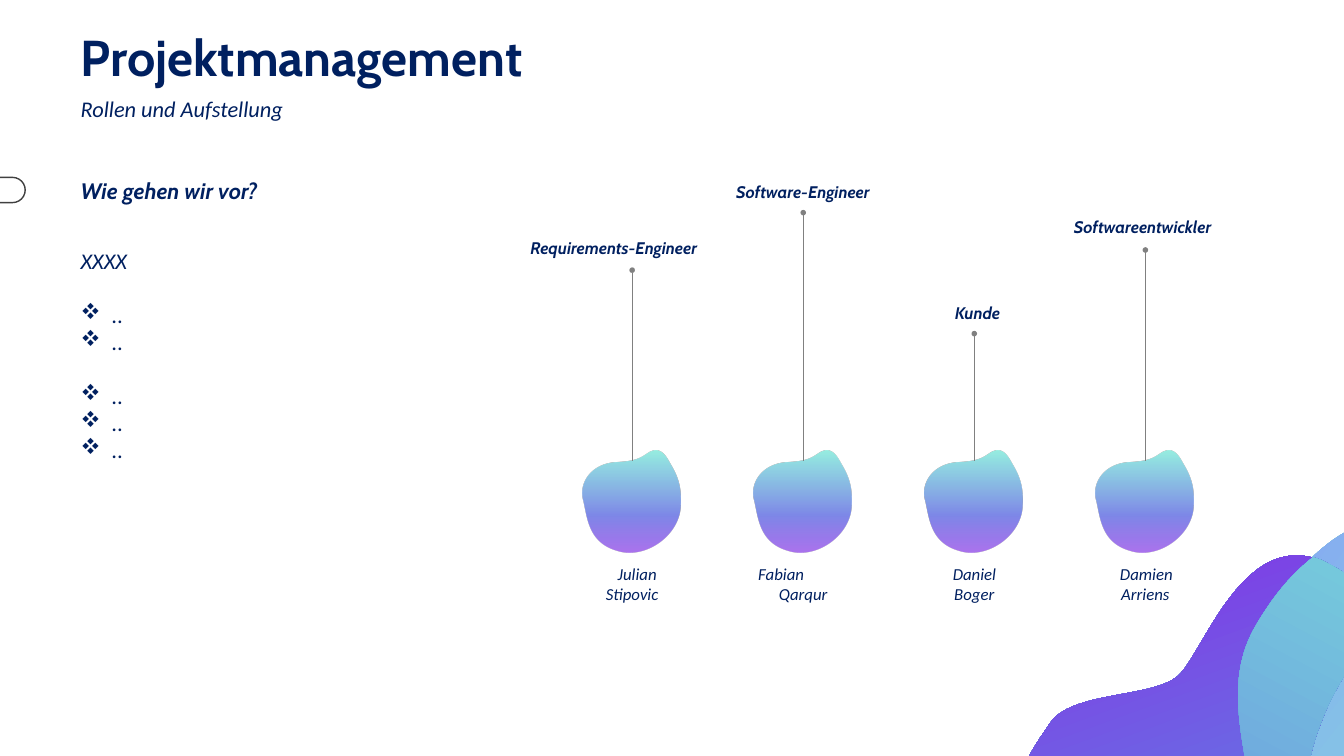
from lxml import etree
from pptx import Presentation
from pptx.dml.color import RGBColor
from pptx.enum.shapes import MSO_CONNECTOR, MSO_SHAPE
from pptx.enum.text import MSO_AUTO_SIZE, PP_ALIGN
from pptx.oxml import parse_xml
from pptx.oxml.ns import nsdecls, qn
from pptx.util import Inches, Pt

STRAIGHT = MSO_CONNECTOR.STRAIGHT
ROUNDED = MSO_SHAPE.ROUNDED_RECTANGLE
LEFT, CENTER = PP_ALIGN.LEFT, PP_ALIGN.CENTER
GROW = MSO_AUTO_SIZE.SHAPE_TO_FIT_TEXT

COLUMNS, ROWS = 13.33, 7.5
HEADING, BODY = "Cabin", "Calibri"
NAVY, GREY, CHARCOAL = "002060", "808080", "404040"

BLOB = [(0.7, 4.49),
        (0.62, 4.54, 0.59, 4.58, 0.36, 4.59),
        (0.12, 4.61, 0, 4.8, 0.05, 4.97),
        (0.09, 5.14, 0.1, 5.38, 0.38, 5.46),
        (0.65, 5.55, 1, 5.32, 1.01, 5.01),
        (1.02, 4.82, 0.97, 4.71, 0.91, 4.61),
        (0.87, 4.54, 0.82, 4.43, 0.7, 4.49)]
BLOB_STOPS = [(1, "7CEFD8", 79), (61, "6672E4", 84), (98, "882BE5", 66)]

WAVES = [
    ([(11.34, 9.4),
      (13.57, 8.54, 11.91, 7.23, 12.59, 6.08),
      (13.28, 4.93, 14.05, 5.07, 14.27, 5.3),
      (14.49, 5.53, 14.54, 5.77, 14.21, 6.16),
      (13.87, 6.54, 14.55, 7.28, 15.02, 7.79),
      (15.48, 8.29, 15.65, 9.43, 14.54, 9.66),
      (13.43, 9.88, 13.49, 9.86, 12.94, 10.76),
      (12.41, 11.65, 11.76, 11.62, 11.76, 11.62),
      (11.76, 11.62, 10.69, 11.5, 10.55, 10.62),
      (10.4, 9.73, 11.34, 9.4, 11.34, 9.4)],
     [(0, "80DEDE", 100), (54, "85C1E7", 100), (100, "878CFF", 100)], 218),
    ([(10.1, 10.76),
      (10.1, 10.76, 10.48, 11.63, 12.11, 11.07),
      (13.74, 10.51, 13.29, 8.9, 13.12, 8.33),
      (12.94, 7.76, 12.92, 7.61, 13.15, 7.05),
      (13.38, 6.5, 13.99, 6, 13.17, 5.59),
      (12.35, 5.18, 11.94, 6.47, 11.69, 6.7),
      (11.44, 6.93, 10.62, 6.85, 10.41, 7.18),
      (10.19, 7.52, 9.89, 7.79, 10.31, 8.97),
      (10.31, 8.97, 10.67, 9.51, 10.16, 10.14),
      (10.16, 10.14, 9.88, 10.51, 10.1, 10.76)],
     [(0, "7CEFD8", 100), (51, "6672E4", 100), (100, "882BE5", 100)], 250),
    ([(12.11, 11.07),
      (11.37, 11.32, 10.89, 11.28, 10.58, 11.17),
      (10.5, 11.05, 10.44, 10.91, 10.41, 10.74),
      (10.27, 9.85, 11.21, 9.53, 11.21, 9.53),
      (13.44, 8.66, 11.77, 7.35, 12.46, 6.2),
      (12.64, 5.89, 12.83, 5.68, 13.02, 5.53),
      (13.07, 5.54, 13.12, 5.56, 13.17, 5.59),
      (13.99, 6, 13.38, 6.5, 13.15, 7.05),
      (12.92, 7.6, 12.94, 7.76, 13.12, 8.33),
      (13.29, 8.9, 13.74, 10.51, 12.11, 11.07)],
     [(0, "6A67E4", 100), (4, "6672E4", 100), (100, "76CEDB", 100)], 298),
]

FIRST_BLOB, LAST_BLOB, STEM_OFFSET, STEM_BASE = 5.74, 10.83, 0.53, 4.57
MEMBERS = [
    ("Requirements-Engineer", 5.26, 2.36, 3.15, 2.68, "Julian", 5.91, 0.82, CENTER, "Stipovic"),
    ("Software-Engineer", 7.3, 1.8, 3.15, 2.11, "Fabian", 7.52, 0.89, LEFT, "Qarqur"),
    ("Kunde", 9.47, 3, 0.84, 3.31, "Daniel", 9.18, 0.97, CENTER, "Boger"),
    ("Softwareentwickler", 10.65, 2.15, 3.15, 2.48, "Damien", 10.81, 1.12, CENTER, "Arriens"),
]
BLOB_PITCH = (LAST_BLOB - FIRST_BLOB) / (len(MEMBERS) - 1)


def colour(value):
    return RGBColor.from_string(value)


class Painter:
    def __init__(self, deck):
        deck.slide_width, deck.slide_height = Inches(COLUMNS), Inches(ROWS)
        self.column = deck.slide_width / COLUMNS
        self.row = deck.slide_height / ROWS
        self.page = deck.slides.add_slide(deck.slide_layouts[6])

    def place(self, x, y):
        return round(x * self.column), round(y * self.row)

    def text(self, x, y, width, height, lines, size, font=BODY, bold=False,
             italic=True, align=LEFT, grow=True, spacing=None):
        box = self.page.shapes.add_textbox(*self.place(x, y), *self.place(width, height))
        frame = box.text_frame
        frame.word_wrap = True
        frame.margin_left = frame.margin_right = frame.margin_top = frame.margin_bottom = 0
        if grow:
            frame.auto_size = GROW
        for index, (words, bullet, gap) in enumerate(lines):
            para = frame.add_paragraph() if index else frame.paragraphs[0]
            para.alignment = align
            if gap:
                para.space_before = Pt(gap)
            if spacing:
                para.line_spacing = Pt(spacing)
            if bullet:
                properties = para._p.get_or_add_pPr()
                indent = Inches(0.31)
                properties.set("marL", str(indent))
                properties.set("indent", str(-indent))
                etree.SubElement(properties, qn("a:buFont")).set("typeface", "Wingdings")
                etree.SubElement(properties, qn("a:buChar")).set("char", bullet)
            span = para.add_run()
            span.text = words
            span.font.name, span.font.size = font, Pt(size)
            span.font.bold, span.font.italic = bold, italic
            span.font.color.rgb = colour(NAVY)

    def outline(self, curves, stops, angle, shift=0):
        points = [self.place(x + shift, y)
                  for curve in curves for x, y in zip(curve[::2], curve[1::2])]
        builder = self.page.shapes.build_freeform(*points[0], scale=1.0)
        builder.add_line_segments(points[1:], close=True)
        shape = builder.convert_to_shape()
        properties = shape._element.spPr
        segments = list(properties.iter(qn("a:lnTo")))
        for start in range(0, len(curves) * 3 - 3, 3):
            bend = etree.Element(qn("a:cubicBezTo"))
            segments[start].addprevious(bend)
            for segment in segments[start:start + 3]:
                bend.append(segment[0])
                segment.getparent().remove(segment)
        shape.shadow.inherit = False
        shape.line.fill.background()
        shape.fill.solid()
        marks = "".join(
            f'<a:gs pos="{position * 1000}"><a:srgbClr val="{shade}">'
            f'<a:alpha val="{opacity * 1000}"/></a:srgbClr></a:gs>'
            for position, shade, opacity in stops)
        gradient = parse_xml(
            f'<a:gradFill {nsdecls("a")} rotWithShape="1"><a:gsLst>{marks}</a:gsLst>'
            f'<a:lin ang="{angle * 60000}" scaled="0"/></a:gradFill>')
        properties.replace(properties.find(qn("a:solidFill")), gradient)

    def stem(self, x, bottom, top):
        line = self.page.shapes.add_connector(
            STRAIGHT, *self.place(x, bottom), *self.place(x, top))
        line.line.color.rgb = colour(GREY)
        line.line.width = Pt(0.75)
        tip = etree.SubElement(line.line._get_or_add_ln(), qn("a:tailEnd"))
        for name, value in (("type", "oval"), ("w", "sm"), ("len", "sm")):
            tip.set(name, value)
        etree.SubElement(line._element.spPr, qn("a:effectLst"))

    def tab(self, x, y, width, height):
        shape = self.page.shapes.add_shape(
            ROUNDED, *self.place(x, y), *self.place(width, height))
        shape.adjustments[0] = 0.5
        shape.shadow.inherit = False
        shape.fill.background()
        shape.line.color.rgb = colour(CHARCOAL)
        shape.line.width = Pt(1)


def main():
    deck = Presentation()
    painter = Painter(deck)
    for index in range(len(MEMBERS)):
        painter.outline(BLOB, BLOB_STOPS, 90, FIRST_BLOB + index * BLOB_PITCH)
    painter.text(0.8, 0.3, 4.81, 0.56, [("Projektmanagement", None, 0)], 36, HEADING,
                 bold=True, italic=False, grow=False, spacing=40)
    painter.text(0.8, 0.94, 6.81, 0.27, [("Rollen und Aufstellung", None, 0)], 16)
    painter.text(0.8, 1.76, 3.15, 0.27, [("Wie gehen wir vor?", None, 0)], 16, HEADING,
                 bold=True)
    bullets = [("..", "v", gap) for gap in (19.5, 0, 19.5, 0, 0)]
    painter.text(0.8, 2.45, 3.83, 2.15, [("XXXX", None, 0)] + bullets, 16)
    painter.tab(-0.24, 1.76, 0.49, 0.25)
    for wave in WAVES:
        painter.outline(*wave)
    for index, member in enumerate(MEMBERS):
        role, role_x, role_y, role_width, top, first, first_x, first_width, align, last = member
        stem_x = FIRST_BLOB + index * BLOB_PITCH + STEM_OFFSET
        painter.stem(stem_x, STEM_BASE, top)
        painter.text(role_x, role_y, role_width, 0.2, [(role, None, 0)], 12, HEADING, bold=True)
        painter.text(first_x, 5.59, first_width, 0.2, [(first, None, 0)], 12, align=align)
        painter.text(stem_x - 0.67, 5.79, 1.34, 0.2, [(last, None, 0)], 12, align=CENTER)
    deck.save("out.pptx")


if __name__ == "__main__":
    main()
